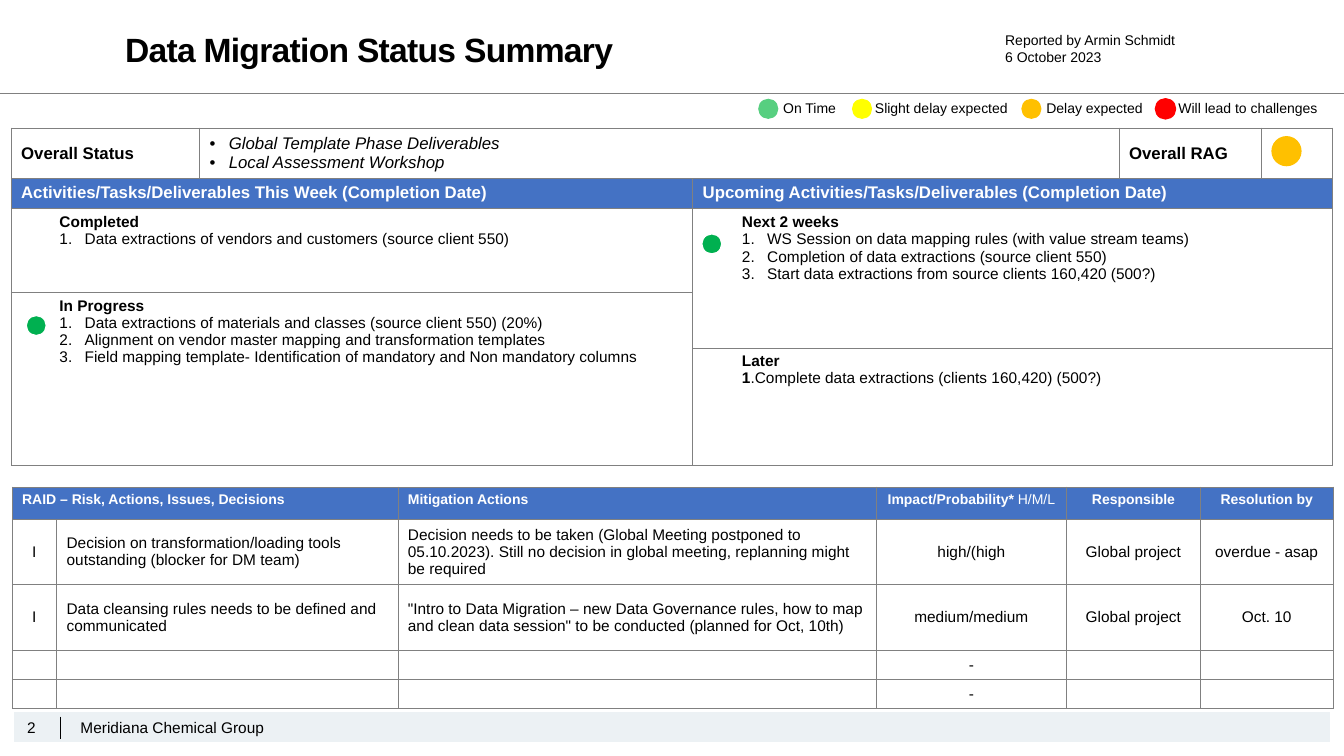
from collections import namedtuple
from dataclasses import dataclass

from lxml import etree
from pptx import Presentation
from pptx import util as u
from pptx.dml.color import RGBColor
from pptx.enum import shapes, text
from pptx.oxml import ns

Box = namedtuple("Box", "x y w h")
Run = namedtuple("Run", "words bold italic", defaults=(False, False))
Para = namedtuple("Para", "runs bullet", defaults=(None,))


@dataclass(frozen=True)
class Theme:
    font: str = "Arial"
    ink: str = "000000"
    paper: str = "FFFFFF"
    header: str = "4472C4"
    border: str = "808080"
    footer: str = "ECF1F4"
    on_time: str = "57CF80"
    slight: str = "FFFF00"
    delay: str = "FFC000"
    challenge: str = "FF0000"
    good: str = "00B050"
    title: float = 24
    heading: float = 12
    body: float = 11
    small: float = 10


T = Theme()
SLIDE = Box(0, 0, 13.33, 7.5)
INSETS = (0.1, 0.05, 0.1, 0.05)
LEFT, CENTER = text.PP_ALIGN.LEFT, text.PP_ALIGN.CENTER
TOP, MIDDLE = text.MSO_ANCHOR.TOP, text.MSO_ANCHOR.MIDDLE


def inches(*lengths):
    return [u.Inches(length) for length in lengths]


def within(box, x, y, w, h):
    return Box(box.x + x, box.y + y, w, h)


def plain(words, bold=False):
    return [Para([Run(words, bold)])]


def numbered(heading, *items):
    return plain(heading, True) + [Para([Run(item)], "1.") for item in items]


def add_bullet(paragraph, bullet):
    indent = u.Inches(0.25 if bullet == "1." else 0.19)
    props = paragraph._p.get_or_add_pPr()
    props.set("marL", str(indent))
    props.set("indent", str(-indent))
    if bullet == "1.":
        etree.SubElement(props, ns.qn("a:buAutoNum"), type="arabicPeriod")
    else:
        etree.SubElement(props, ns.qn("a:buFont"), typeface=T.font)
        etree.SubElement(props, ns.qn("a:buChar"), char=bullet)


def write(frame, paras, size, color=T.ink, align=LEFT, spacing=None):
    for i, para in enumerate(paras):
        paragraph = frame.paragraphs[0] if i == 0 else frame.add_paragraph()
        paragraph.alignment = align
        if para.bullet:
            add_bullet(paragraph, para.bullet)
        for part in para.runs:
            run = paragraph.add_run()
            run.text = part.words
            font = run.font
            font.name, font.size = T.font, u.Pt(size)
            font.bold, font.italic = part.bold, part.italic
            font.color.rgb = RGBColor.from_string(color)
            if spacing:
                run._r.get_or_add_rPr().set("spc", str(spacing))
    if not paras:
        etree.SubElement(frame.paragraphs[0]._p, ns.qn("a:endParaRPr"), sz=str(int(size * 100)))


def label(slide, box, paras, size, insets=INSETS, spacing=None):
    frame = slide.shapes.add_textbox(*inches(*box)).text_frame
    frame.word_wrap = False
    frame.margin_left, frame.margin_top, frame.margin_right, frame.margin_bottom = inches(*insets)
    write(frame, paras, size, spacing=spacing)


def panel(slide, kind, box, fill, outline=None):
    shape = slide.shapes.add_shape(kind, *inches(*box))
    shape.shadow.inherit = False
    shape.fill.solid()
    shape.fill.fore_color.rgb = RGBColor.from_string(fill)
    if outline:
        shape.line.color.rgb = RGBColor.from_string(outline)
        shape.line.width = u.Pt(1)
    else:
        shape.line.fill.background()


def dot(slide, box, fill, outline=None):
    panel(slide, shapes.MSO_SHAPE.OVAL, box, fill, outline)


def rule(slide, x1, y1, x2, y2, color, width):
    line = slide.shapes.add_connector(shapes.MSO_CONNECTOR.STRAIGHT, *inches(x1, y1, x2, y2))
    line.line.color.rgb = RGBColor.from_string(color)
    line.line.width = u.Pt(width)
    etree.SubElement(line._element.spPr, ns.qn("a:effectLst"))


def set_borders(cell, open_sides=""):
    props = cell._tc.get_or_add_tcPr()
    for side in "LRTB":
        edge = etree.SubElement(props, ns.qn("a:ln" + side), w=str(u.Pt(0.5)))
        if side in open_sides:
            etree.SubElement(edge, ns.qn("a:noFill"))
        else:
            fill = etree.SubElement(edge, ns.qn("a:solidFill"))
            etree.SubElement(fill, ns.qn("a:srgbClr"), val=T.border)


def add_grid(slide, box, columns, rows, header_row, open_edges):
    frame = slide.shapes.add_table(len(rows), len(columns), *inches(*box))
    table = frame.table
    table.first_row = table.horz_banding = False
    for tracks, lengths, side, total in (
        (table.columns, columns, "width", box.w),
        (table.rows, rows, "height", box.h),
    ):
        for track, length in zip(tracks, lengths):
            setattr(track, side, u.Inches(length * total / sum(lengths)))
    for r in range(len(rows)):
        for c in range(len(columns)):
            cell = table.cell(r, c)
            set_borders(cell, open_edges.get(c, "") if r > header_row else "")
            cell.fill.solid()
            cell.fill.fore_color.rgb = RGBColor.from_string(T.header if r == header_row else T.paper)
    return table


def fill_cell(table, r, c, paras, size, color=T.ink, align=LEFT, anchor=TOP, span=(1, 1)):
    cell = table.cell(r, c)
    if span != (1, 1):
        cell.merge(table.cell(r + span[0] - 1, c + span[1] - 1))
    cell.vertical_anchor = anchor
    write(cell.text_frame, paras, size, color, align)
    return cell


def page_header(slide, box):
    rule(slide, box.x, box.h, box.x + box.w, box.h, T.border, 0.5)
    label(slide, within(box, 1.04, 0.21, 9.06, 0.59), plain("Data Migration Status Summary", True),
          T.title, (0.2, 0.08, 0.2, 0), -50)
    label(slide, within(box, 9.92, 0.21, 1.86, 0.49),
          plain("Reported by Armin Schmidt") + plain("6 October 2023"), T.small, (0.05, 0.1, 0.1, 0.05))


def legend(slide, box):
    for words, x, label_x, width, color, outline in (
        ("On Time", 0, 0.15, 0.74, T.on_time, None),
        ("Slight delay expected", 0.93, 1.06, 1.57, T.slight, None),
        ("Delay expected", 2.61, 2.76, 1.19, T.delay, None),
        ("Will lead to challenges", 3.94, 4.07, 1.63, T.challenge, T.challenge),
    ):
        dot(slide, within(box, x, 0.04, 0.2, 0.2), color, outline)
        label(slide, within(box, label_x, 0, width, box.h), plain(words), T.small)


def status_board(slide, box):
    board = add_grid(slide, box, [0.38, 1.49, 4.89, 0.39, 3.84, 1.41, 0.71],
                     [0.5, 0.3, 0.83, 0.55, 1.17], 1, {0: "R", 1: "L", 3: "R", 4: "L"})
    scope = [Para([Run(words, italic=True)], "•")
             for words in ("Global Template Phase Deliverables", "Local Assessment Workshop")]
    for c, paras, width in ((0, plain("Overall Status", True), 2), (2, scope, 3),
                            (5, plain("Overall RAG", True), 1)):
        fill_cell(board, 0, c, paras, T.heading, anchor=MIDDLE, span=(1, width))
    for c, words, width in ((0, "Activities/Tasks/Deliverables This Week (Completion Date)", 3),
                            (3, "Upcoming Activities/Tasks/Deliverables (Completion Date)", 4)):
        fill_cell(board, 1, c, plain(words, True), T.heading, T.paper, span=(1, width))
    completed = numbered("Completed", "Data extractions of vendors and customers (source client 550)")
    upcoming = numbered("Next 2 weeks", "WS Session on data mapping rules (with value stream teams)",
                        "Completion of data extractions (source client 550)",
                        "Start data extractions from source clients 160,420 (500?)")
    progress = numbered("In Progress",
                        "Data extractions of materials and classes (source client 550) (20%)",
                        "Alignment on vendor master mapping and transformation templates",
                        "Field mapping template- Identification of mandatory and Non mandatory columns")
    later = plain("Later", True) + [
        Para([Run("1", True), Run(".Complete data extractions (clients 160,420) (500?)")])]
    for r, c, paras, span in ((2, 1, completed, (1, 2)), (2, 4, upcoming, (2, 3)),
                              (3, 1, progress, (2, 2)), (4, 4, later, (1, 3))):
        fill_cell(board, r, c - 1, [], T.body, span=(span[0], 1))
        fill_cell(board, r, c, paras, T.body, span=span)
    dot(slide, within(box, 12.5, 0.08, 0.3, 0.3), T.delay)
    for x, y in ((0.15, 1.86), (6.85, 1.05)):
        dot(slide, within(box, x, y, 0.2, 0.2), T.good, T.paper)


def raid_log(slide, box):
    log = add_grid(slide, box, [0.44, 3.38, 4.74, 1.88, 1.33, 1.31],
                   [0.32, 0.65, 0.65, 0.29, 0.29], 0, {})
    impact = [Para([Run("Impact/Probability* ", True), Run("H/M/L")])]
    for c, paras, width, align in (
        (0, plain("RAID – Risk, Actions, Issues, Decisions", True), 2, LEFT),
        (2, plain("Mitigation Actions", True), 1, LEFT),
        (3, impact, 1, CENTER),
        (4, plain("Responsible", True), 1, CENTER),
        (5, plain("Resolution by", True), 1, CENTER),
    ):
        fill_cell(log, 0, c, paras, T.small, T.paper, align, span=(1, width))
    entries = [
        ("I", "Decision on transformation/loading tools outstanding (blocker for DM team)",
         "Decision needs to be taken (Global Meeting postponed to 05.10.2023). "
         "Still no decision in global meeting, replanning might be required",
         "high/(high", "Global project", "overdue - asap"),
        ("I", "Data cleansing rules needs to be defined and communicated",
         '"Intro to Data Migration – new Data Governance rules, how to map and clean data session" '
         "to be conducted (planned for Oct, 10th)",
         "medium/medium", "Global project", "Oct. 10"),
    ] + [("", "", "", "-", "", "")] * 2
    for r, entry in enumerate(entries, 1):
        for c, words in enumerate(entry):
            cell = fill_cell(log, r, c, plain(words) if words else [], T.body,
                             align=LEFT if c in (1, 2) else CENTER, anchor=MIDDLE)
            if c == 0:
                cell.margin_left = cell.margin_right = 0


def page_footer(slide, box):
    panel(slide, shapes.MSO_SHAPE.RECTANGLE, box, T.footer, T.paper)
    rule(slide, box.x + 0.47, box.y + 0.05, box.x + 0.47, box.y + 0.27, T.ink, 1)
    label(slide, within(box, 0.14, 0.02, 0.38, 0.26), plain("2"), T.body, (0, 0.05, 0.1, 0.05))
    label(slide, within(box, 0.57, 0.02, 4.87, 0.26), plain("Meridiana Chemical Group"), T.body)


def main():
    deck = Presentation()
    deck.slide_width, deck.slide_height = inches(SLIDE.w, SLIDE.h)
    slide = deck.slides.add_slide(deck.slide_layouts[6])
    page_footer(slide, Box(0.13, 7.06, 13.07, 0.31))
    page_header(slide, Box(0, 0, SLIDE.w, 0.93))
    legend(slide, Box(7.52, 0.94, 5.7, 0.27))
    status_board(slide, Box(0.11, 1.27, 13.11, 3.35))
    raid_log(slide, Box(0.12, 4.83, 13.1, 2.2))
    deck.save("out.pptx")


if __name__ == "__main__":
    main()
